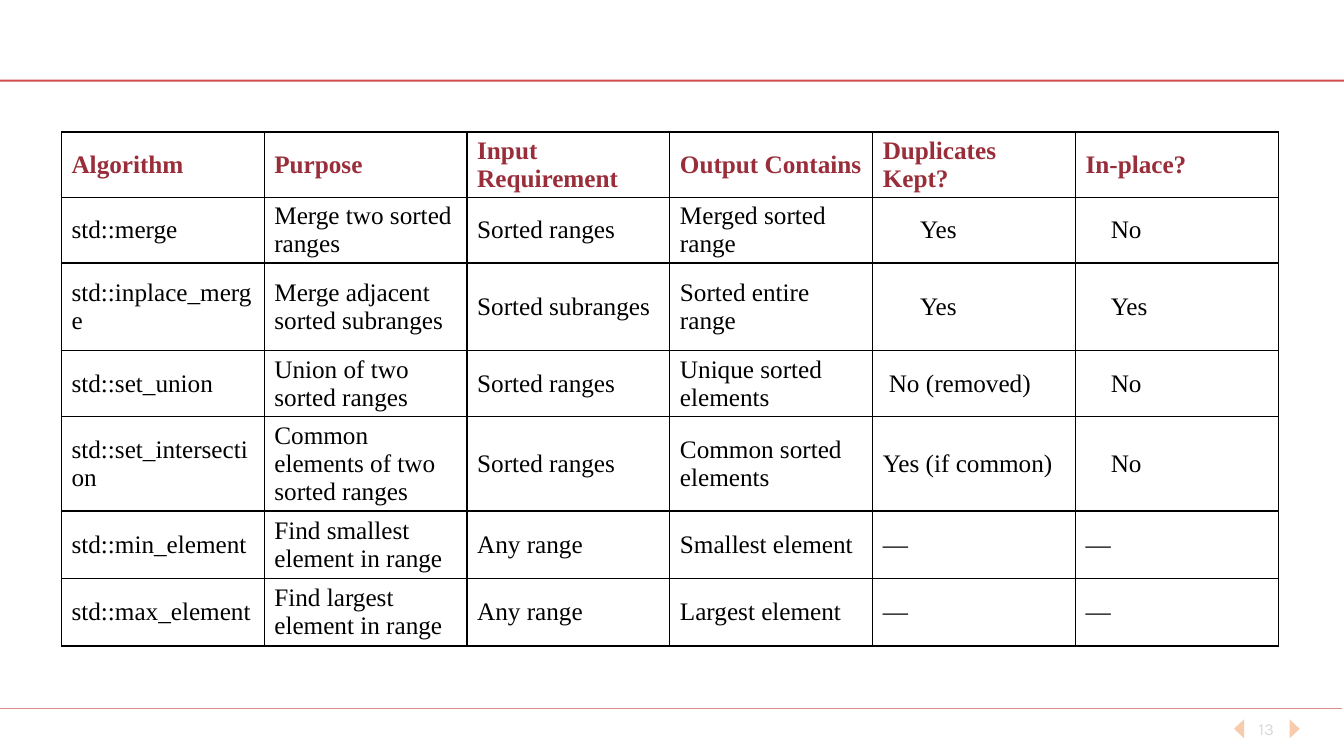
from dataclasses import dataclass

from lxml import etree
from pptx import Presentation
from pptx.dml.color import RGBColor
from pptx.enum.shapes import MSO_CONNECTOR
from pptx.enum.text import MSO_ANCHOR, PP_ALIGN
from pptx.oxml.ns import qn
from pptx.util import Inches, Pt

STRAIGHT = MSO_CONNECTOR.STRAIGHT
MIDDLE = MSO_ANCHOR.MIDDLE
CENTER = PP_ALIGN.CENTER


@dataclass(frozen=True)
class Theme:
    rule: str = "C00000"
    rule_opacity: int = 70
    header: str = "992E3A"
    ink: str = "000000"
    arrow: str = "F8CBAD"
    page: str = "D9D9D9"
    table_font: str = "Times New Roman"
    table_size: int = 18
    page_font: str = "Karla"
    page_size: int = 12


THEME = Theme()
SLIDE_W, SLIDE_H = 13.33, 7.5
CELL_MARGIN = 0.1
CELL_PADDING = 0.02

HEADERS = ["Algorithm", "Purpose", "Input Requirement", "Output Contains",
           "Duplicates Kept?", "In-place?"]
ALGORITHMS = [
    ["std::merge", "Merge two sorted ranges", "Sorted ranges",
     "Merged sorted range", "Yes", "No"],
    ["std::inplace_merge", "Merge adjacent sorted subranges", "Sorted subranges",
     "Sorted entire range", "Yes", "Yes"],
    ["std::set_union", "Union of two sorted ranges", "Sorted ranges",
     "Unique sorted elements", "No (removed)", "No"],
    ["std::set_intersection", "Common elements of two sorted ranges", "Sorted ranges",
     "Common sorted elements", "Yes (if common)", "No"],
    ["std::min_element", "Find smallest element in range", "Any range",
     "Smallest element", "—", "—"],
    ["std::max_element", "Find largest element in range", "Any range",
     "Largest element", "—", "—"],
]
ROW_HEIGHTS = [0.65, 0.65, 0.87, 0.65, 0.93, 0.67, 0.67]
# Extra left indent by column and answer
ANSWER_INDENTS = {(4, "Yes"): 0.37, (4, "No (removed)"): 0.06,
                  (5, "Yes"): 0.25, (5, "No"): 0.25}


def style_font(paragraph, name, size, color, bold=False):
    font = paragraph.font
    font.name, font.size, font.bold = name, Pt(size), bold
    font.color.rgb = RGBColor.from_string(color)


def add_rule(slide, y, width, weight):
    rule = slide.shapes.add_connector(
        STRAIGHT, 0, Inches(y), Inches(width), Inches(y))
    rule.line.width = Pt(weight)
    rule.line.color.rgb = RGBColor.from_string(THEME.rule)
    properties = rule._element.spPr
    color = properties.find(".//" + qn("a:srgbClr"))
    etree.SubElement(color, qn("a:alpha"), val=str(THEME.rule_opacity * 1000))
    etree.SubElement(properties, qn("a:effectLst"))


def add_arrow(slide, base_x, tip_x, top, height):
    builder = slide.shapes.build_freeform(
        Inches(base_x), Inches(top), scale=1.0)
    builder.add_line_segments([
        (Inches(tip_x), Inches(top + height / 2)),
        (Inches(base_x), Inches(top + height))])
    arrow = builder.convert_to_shape()
    arrow.shadow.inherit = False
    arrow.fill.solid()
    arrow.fill.fore_color.rgb = RGBColor.from_string(THEME.arrow)
    arrow.line.fill.background()


def add_page_navigator(slide, left, top, width, height, number):
    # Page number
    box = slide.shapes.add_textbox(
        Inches(left), Inches(top), Inches(width), Inches(height))
    frame = box.text_frame
    frame.word_wrap = True
    frame.vertical_anchor = MIDDLE
    page = frame.paragraphs[0]
    page.text = number
    page.alignment = CENTER
    style_font(page, THEME.page_font, THEME.page_size, THEME.page)
    # Previous and next arrows
    arrow_w, arrow_h = 0.1, 0.19
    arrow_top = top + (height - arrow_h) / 2
    previous_base = left + 0.06
    next_base = left + width - 0.05
    add_arrow(slide, previous_base, previous_base - arrow_w, arrow_top, arrow_h)
    add_arrow(slide, next_base, next_base + arrow_w, arrow_top, arrow_h)


def add_borders(cell):
    properties = cell._tc.get_or_add_tcPr()
    for position, side in enumerate(("lnL", "lnR", "lnT", "lnB")):
        border = etree.Element(qn("a:" + side), w=str(Pt(1)))
        fill = etree.SubElement(border, qn("a:solidFill"))
        etree.SubElement(fill, qn("a:srgbClr"), val=THEME.ink)
        properties.insert(position, border)


def add_algorithm_table(slide, left, top, width):
    rows = [HEADERS] + ALGORITHMS
    table = slide.shapes.add_table(
        len(rows), len(HEADERS), Inches(left), Inches(top),
        Inches(width), Inches(sum(ROW_HEIGHTS))).table
    table.first_row = table.horz_banding = False
    for column in table.columns:
        column.width = Inches(width / len(HEADERS))
    for r, (row, height) in enumerate(zip(rows, ROW_HEIGHTS)):
        table.rows[r].height = Inches(height)
        is_header = r == 0
        for c, wording in enumerate(row):
            cell = table.cell(r, c)
            cell.fill.background()
            add_borders(cell)
            cell.vertical_anchor = MIDDLE
            cell.margin_top = cell.margin_bottom = Inches(CELL_PADDING)
            cell.margin_left = Inches(
                CELL_MARGIN + ANSWER_INDENTS.get((c, wording), 0))
            cell.text = wording
            style_font(cell.text_frame.paragraphs[0], THEME.table_font,
                       THEME.table_size,
                       THEME.header if is_header else THEME.ink, is_header)


def main():
    deck = Presentation()
    deck.slide_width, deck.slide_height = Inches(SLIDE_W), Inches(SLIDE_H)
    slide = deck.slides.add_slide(deck.slide_layouts[6])
    # Footer and header furniture
    add_page_navigator(slide, 12.28, 7.03, 0.56, 0.4, "13")
    add_rule(slide, 7.03, 13.31, 0.5)
    add_rule(slide, 0.8, SLIDE_W, 1.5)
    # Comparison of algorithms
    add_algorithm_table(slide, 0.61, 1.31, 12.07)
    deck.save("out.pptx")


if __name__ == "__main__":
    main()
